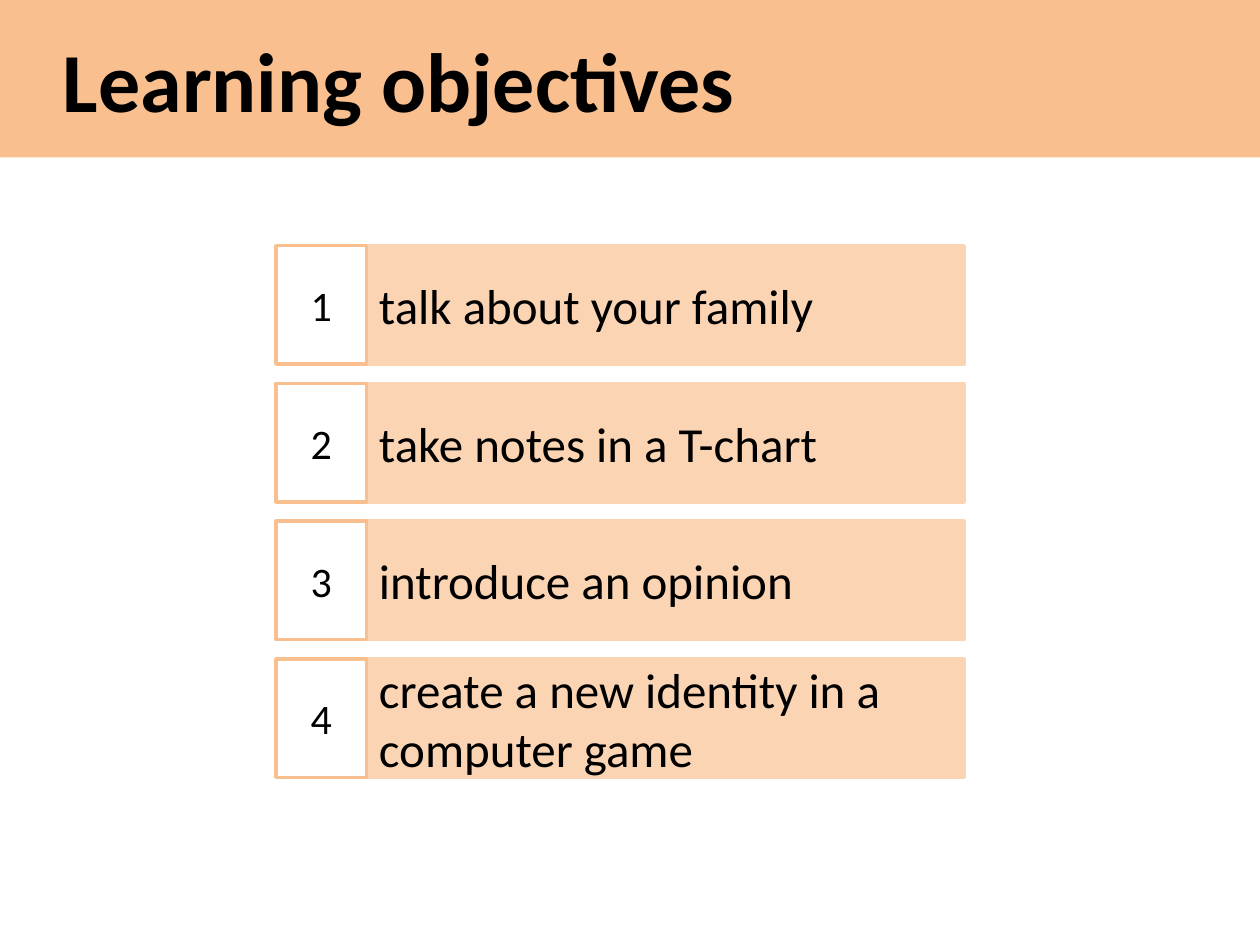
from dataclasses import dataclass

from pptx import Presentation
from pptx.dml.color import RGBColor
from pptx.enum import shapes, text
from pptx.util import Inches, Pt


@dataclass(frozen=True)
class Theme:
    font: str = "Calibri"
    ink: str = "000000"
    paper: str = "FFFFFF"
    accent: str = "FABF8E"
    tint: str = "FBD4B4"
    title_size: int = 48
    objective_size: int = 28
    number_size: int = 24
    border: int = 2


@dataclass(frozen=True)
class Box:
    left: float
    top: float
    width: float
    height: float


@dataclass(frozen=True)
class Style:
    fill: str
    size: int
    line: str | None = None
    bold: bool = False
    align: text.PP_ALIGN = text.PP_ALIGN.LEFT
    inset: float = 0.1


THEME = Theme()
TITLE = Style(THEME.accent, THEME.title_size, bold=True, inset=0.5)
NUMBER = Style(THEME.paper, THEME.number_size, THEME.accent, align=text.PP_ALIGN.CENTER)
OBJECTIVE = Style(THEME.tint, THEME.objective_size, THEME.tint)

OBJECTIVES = [
    "talk about your family",
    "take notes in a T-chart",
    "introduce an opinion",
    "create a new identity in a\ncomputer game",
]
LIST_LEFT, FIRST_TOP, LAST_TOP = 2.19, 1.95, 5.23
NUMBER_WIDTH, OBJECTIVE_WIDTH, ROW_HEIGHT = 0.72, 4.74, 0.94
ROW_PITCH = (LAST_TOP - FIRST_TOP) / (len(OBJECTIVES) - 1)


def add_box(container, box: Box, wording: str, style: Style) -> None:
    """Draw a filled rectangle with vertically centred text."""
    shape = container.add_shape(
        shapes.MSO_SHAPE.RECTANGLE,
        Inches(box.left), Inches(box.top), Inches(box.width), Inches(box.height),
    )
    shape.shadow.inherit = False
    shape.fill.solid()
    shape.fill.fore_color.rgb = RGBColor.from_string(style.fill)
    if style.line:
        shape.line.color.rgb = RGBColor.from_string(style.line)
        shape.line.width = Pt(THEME.border)
    else:
        shape.line.fill.background()

    frame = shape.text_frame
    frame.word_wrap = True
    frame.vertical_anchor = text.MSO_ANCHOR.MIDDLE
    frame.margin_left = Inches(style.inset)
    frame.text = wording
    for paragraph in frame.paragraphs:
        paragraph.alignment = style.align
        for run in paragraph.runs:
            run.font.name = THEME.font
            run.font.size = Pt(style.size)
            run.font.bold = style.bold
            run.font.color.rgb = RGBColor.from_string(THEME.ink)


def add_objective(slide, number: int, wording: str) -> None:
    """Group one objective with its number box."""
    top = FIRST_TOP + (number - 1) * ROW_PITCH
    row = slide.shapes.add_group_shape().shapes
    objective_box = Box(LIST_LEFT + NUMBER_WIDTH, top, OBJECTIVE_WIDTH, ROW_HEIGHT)
    add_box(row, objective_box, wording, OBJECTIVE)
    add_box(row, Box(LIST_LEFT, top, NUMBER_WIDTH, ROW_HEIGHT), str(number), NUMBER)


def main() -> None:
    presentation = Presentation()
    presentation.slide_width, presentation.slide_height = Inches(10), Inches(7.5)
    slide = presentation.slides.add_slide(presentation.slide_layouts[6])
    add_box(slide.shapes, Box(0, 0, 10, 1.25), "Learning objectives", TITLE)
    for number, wording in enumerate(OBJECTIVES, start=1):
        add_objective(slide, number, wording)
    presentation.save("out.pptx")


if __name__ == "__main__":
    main()
